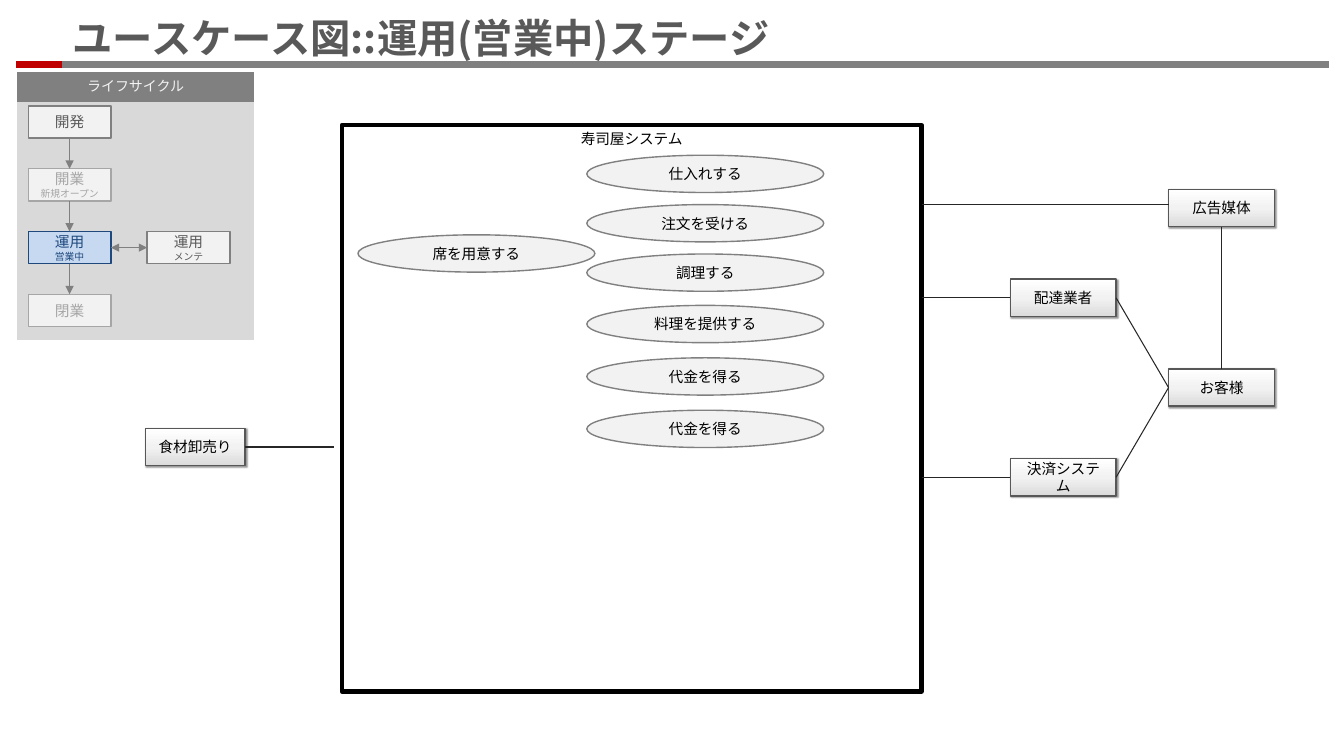
from copy import deepcopy

from lxml import etree
from pptx import Presentation
from pptx import util as u
from pptx.dml.color import RGBColor
from pptx.enum import shapes, text
from pptx.oxml.ns import qn

COLORS = {
    "white": "FFFFFF",
    "black": "000000",
    "red": "C00000",
    "gray": "808080",
    "pale": "F2F2F2",
    "panel": "D9D9D9",
    "faded": "A6A6A6",
    "dark": "595959",
    "navy": "1F497D",
    "sky": "C6D9F1",
    "link": "262626",
    "actor_line": "575757",
    "actor_shade": "DBDBDB",
}
STATES = {
    "normal": ("pale", "gray", "dark"),
    "faded": ("pale", "faded", "faded"),
    "current": ("sky", "navy", "navy"),
}
NO_GRID_STYLE = "{2D5ABB26-0587-4C30-8999-92F81FD0307C}"
RECT = shapes.MSO_SHAPE.RECTANGLE
OVAL = shapes.MSO_SHAPE.OVAL
TOP, LEFT, BOTTOM, RIGHT = range(4)


def rgb(name):
    return RGBColor.from_string(COLORS[name])


def add_run(paragraph, wording, size, color, font="Calibri", bold=False):
    run = paragraph.add_run()
    run.text = wording
    run.font.size = u.Pt(size)
    run.font.name = font
    run.font.bold = bold
    run.font.color.rgb = rgb(color)
    east_asian = etree.SubElement(run.font._element, qn("a:ea"))
    east_asian.set("typeface", font)


def add_block(slide, kind, at, lines, colors, width=1, anchor=text.MSO_ANCHOR.MIDDLE):
    fill, outline, ink = colors
    block = slide.shapes.add_shape(kind, *map(u.Inches, at))
    block.shadow.inherit = False
    block.fill.solid()
    block.fill.fore_color.rgb = rgb(fill)
    block.line.color.rgb = rgb(outline)
    block.line.width = u.Pt(width)
    frame = block.text_frame
    frame.word_wrap = True
    frame.vertical_anchor = anchor
    for index, (wording, size) in enumerate(lines):
        paragraph = frame.add_paragraph() if index else frame.paragraphs[0]
        paragraph.alignment = text.PP_ALIGN.CENTER
        add_run(paragraph, wording, size, ink)
    return block


def add_actor(slide, wording, left, top, width=1.05):
    actor = add_block(slide, RECT, (left, top, width, 0.37), [(wording, 10.5)],
                      ("white", "actor_line", "black"))
    actor.fill.gradient()
    actor.fill.gradient_angle = 270
    properties = actor._element.spPr
    stops = properties.find(".//" + qn("a:gsLst"))
    stops.append(deepcopy(stops[-1]))
    shades = ((0, "white"), (0.5, "pale"), (1, "actor_shade"))
    for stop, (position, color) in zip(actor.fill.gradient_stops, shades):
        stop.position = position
        stop.color.rgb = rgb(color)
    shadow = etree.SubElement(properties.find(qn("a:effectLst")), qn("a:outerShdw"),
                              blurRad=str(u.Pt(1)), dist=str(u.Pt(1)), dir="2700000",
                              algn="tl", rotWithShape="0")
    tint = etree.SubElement(shadow, qn("a:srgbClr"), val=COLORS["black"])
    etree.SubElement(tint, qn("a:alpha"), val="40000")
    return actor


def add_line(slide, start, end, color="link", width=0.75, arrows=()):
    line = slide.shapes.add_connector(shapes.MSO_CONNECTOR.STRAIGHT, *start, *end)
    line.line.color.rgb = rgb(color)
    line.line.width = u.Pt(width)
    for arrow in arrows:
        etree.SubElement(line.line._get_or_add_ln(), qn("a:" + arrow), type="triangle")
    etree.SubElement(line._element.spPr, qn("a:effectLst"))
    return line


def join(slide, first, first_side, second, second_side, color="link", arrows=()):
    line = add_line(slide, (0, 0), (0, 0), color, arrows=arrows)
    line.begin_connect(first, first_side)
    line.end_connect(second, second_side)


def point(x, y):
    return u.Inches(x), u.Inches(y)


def middle(block):
    return block.top + block.height // 2


def add_heading(slide):
    add_line(slide, point(0.61, 0.64), point(13.18, 0.64), "gray", 4.5)
    add_line(slide, point(0.62, 0.64), point(0.16, 0.64), "red", 4.5)
    title = slide.shapes.title
    title.left, title.top = point(0.62, 0.07)
    title.width, title.height = point(12.55, 0.61)
    frame = title.text_frame
    frame.auto_size = text.MSO_AUTO_SIZE.NONE
    frame.vertical_anchor = text.MSO_ANCHOR.MIDDLE
    frame.paragraphs[0].alignment = text.PP_ALIGN.LEFT
    add_run(frame.paragraphs[0], "ユースケース図::運用(営業中)ステージ", 28.8, "dark",
            "Noto Sans CJK JP", True)


def add_lifecycle_panel(slide):
    panel = slide.shapes.add_table(
        2, 1, *map(u.Inches, (0.17, 0.71, 2.35, 2.66))).table
    panel._tbl.tblPr.find(qn("a:tableStyleId")).text = NO_GRID_STYLE
    panel.first_row = panel.horz_banding = False
    for row, (height, color) in enumerate(((0.3, "gray"), (2.36, "panel"))):
        panel.rows[row].height = u.Inches(height)
        cell = panel.cell(row, 0)
        cell.fill.solid()
        cell.fill.fore_color.rgb = rgb(color)
    header = panel.cell(0, 0)
    header.vertical_anchor = text.MSO_ANCHOR.MIDDLE
    header.text_frame.paragraphs[0].alignment = text.PP_ALIGN.CENTER
    add_run(header.text_frame.paragraphs[0], "ライフサイクル", 10, "pale")


def add_lifecycle(slide):
    add_lifecycle_panel(slide)
    phases = (
        ("normal", 0.28, 0, [("開発", 10.5)]),
        ("faded", 0.28, 1, [("開業", 10.5), ("新規オープン", 7)]),
        ("current", 0.28, 2, [("運用", 10.5), ("営業中", 7)]),
        ("faded", 0.28, 3, [("閉業", 10.5)]),
        ("normal", 1.46, 2, [("運用", 10.5), ("メンテ", 7)]),
    )
    *steps, maintenance = [
        add_block(slide, RECT, (left, 1.05 + 1.87 * level / 3, 0.82, 0.32),
                  lines, STATES[state])
        for state, left, level, lines in phases]
    for earlier, later in zip(steps, steps[1:]):
        join(slide, earlier, BOTTOM, later, TOP, "gray", ("tailEnd",))
    join(slide, steps[2], RIGHT, maintenance, LEFT, "gray", ("headEnd", "tailEnd"))


def add_system_and_actors(slide):
    customer = add_actor(slide, "お客様", 11.59, 3.66)
    wholesaler = add_actor(slide, "食材卸売り", 1.44, 4.25, 0.99)
    courier = add_actor(slide, "配達業者", 10.02, 2.77)
    media = add_actor(slide, "広告媒体", 11.59, 1.88)
    payment = add_actor(slide, "決済システム", 10.02, 4.55)
    system = add_block(slide, RECT, (3.39, 1.24, 5.75, 5.62), [("寿司屋システム", 10.5)],
                       ("white", "black", "black"), 3, text.MSO_ANCHOR.TOP)
    join(slide, media, BOTTOM, customer, TOP)
    edge = system.left + system.width
    for partner in (courier, payment):
        join(slide, partner, RIGHT, customer, LEFT)
        level = middle(partner)
        add_line(slide, (edge, level), (partner.left, level)).end_connect(partner, LEFT)
    level = middle(wholesaler)
    supply = add_line(slide, (wholesaler.left, level), (u.Inches(3.31), level))
    supply.begin_connect(wholesaler, RIGHT)
    add_line(slide, (edge, u.Inches(2.03)), (media.left, u.Inches(2.03)))


def add_use_cases(slide):
    use_cases = (
        ("仕入れする", 5.82, 1.54),
        ("注文を受ける", 5.82, 2.03),
        ("調理する", 5.82, 2.52),
        ("料理を提供する", 5.82, 3.03),
        ("代金を得る", 5.82, 3.55),
        ("代金を得る", 5.82, 4.07),
        ("席を用意する", 3.55, 2.33),
    )
    for wording, left, top in use_cases:
        add_block(slide, OVAL, (left, top, 2.35, 0.37), [(wording, 10.5)],
                  ("pale", "gray", "black"))


def main():
    deck = Presentation()
    deck.slide_width, deck.slide_height = point(13.33, 7.5)
    slide = deck.slides.add_slide(deck.slide_layouts[5])
    add_heading(slide)
    add_lifecycle(slide)
    add_system_and_actors(slide)
    add_use_cases(slide)
    deck.save("out.pptx")


if __name__ == "__main__":
    main()
